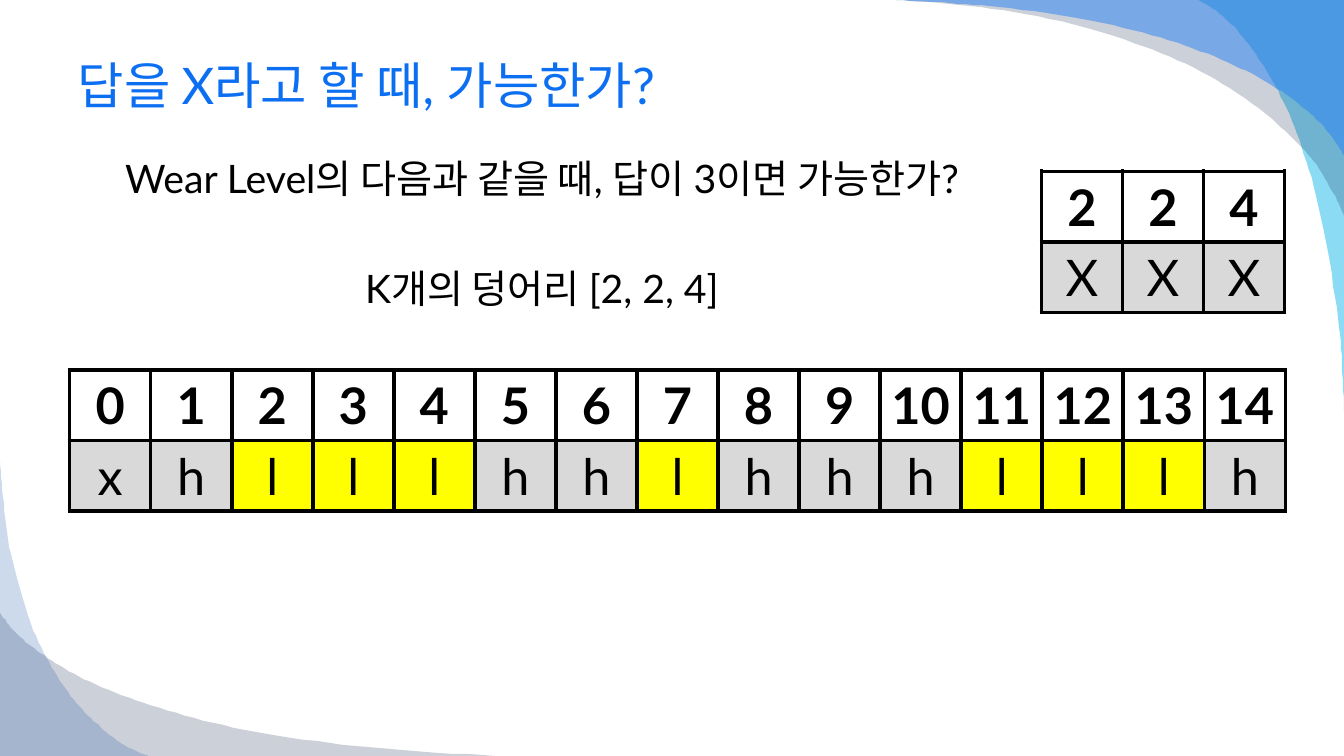
from dataclasses import dataclass
from itertools import chain

from lxml import etree
from pptx import Presentation
from pptx import util as u
from pptx.dml.color import RGBColor
from pptx.enum import text
from pptx.oxml import ns

PX = 9144  # EMU in one px: 100 px to the inch
FONT = "Lato"
BLACK, WHITE, GREY, YELLOW, BLUE = "000000", "FFFFFF", "D9D9D9", "FFFF00", "0C6FF2"
CURVE_STEPS = 6
Point = tuple[float, float]


@dataclass
class Wave:
    """A corner of the slide closed off by a smooth edge."""
    color: str
    opacity: int
    corner: Point
    edge: list[Point]


@dataclass
class Blocks:
    """Numbers above the state of each block; a low block "l" is highlighted."""
    left: int
    top: int
    width: int
    numbers: list[int]
    states: str


WAVES = [
    Wave("00B1E9", 45, (1333, 0), [
        (1189, 0), (1201, 7), (1215, 18), (1228, 31), (1243, 50), (1259, 75),
        (1276, 107), (1291, 146), (1305, 193), (1317, 249), (1327, 315),
        (1331, 360), (1333, 408)]),
    Wave("021741", 20, (1333, 0), [
        (1333, 215), (1328, 202), (1316, 180), (1303, 160), (1283, 138),
        (1258, 115), (1225, 91), (1184, 67), (1134, 46), (1075, 27),
        (1006, 12), (942, 4), (889, 0)]),
    Wave("247FF4", 49, (1333, 0), [
        (1333, 155), (1328, 146), (1314, 127), (1300, 113), (1279, 96),
        (1252, 79), (1218, 62), (1175, 45), (1124, 30), (1063, 17),
        (991, 7), (942, 3), (889, 0)]),
    Wave("021741", 20, (0, 750), [
        (0, 608), (6, 616), (16, 628), (31, 641), (51, 655), (78, 671),
        (114, 687), (158, 702), (211, 717), (276, 730), (352, 740),
        (422, 746), (500, 750)]),
    Wave("084AA1", 20, (0, 750), [
        (148, 750), (139, 747), (126, 741), (110, 730), (95, 717), (79, 701),
        (62, 679), (46, 652), (31, 620), (19, 581), (8, 535), (3, 493),
        (0, 458)]),
]
MEMORY = Blocks(69, 367, 1206, list(range(15)), "xhlllhhlhhhlllh")
CHUNKS = Blocks(1033, 170, 241, [2, 2, 4], "XXX")
ROW_HEIGHT = 70


def px(length: float) -> u.Emu:
    return u.Emu(round(length * PX))


def rgb(color: str) -> RGBColor:
    return RGBColor.from_string(color)


def smooth(knots: list[Point]) -> list[Point]:
    """Catmull-Rom curve through the knots, as closely spaced points."""
    padded = [knots[0], *knots, knots[-1]]

    def between(start: int, t: float) -> Point:
        quads = zip(*padded[start:start + 4])
        x, y = (b + t / 2 * (c - a + t * (2 * a - 5 * b + 4 * c - d
                                          + t * (3 * (b - c) + d - a)))
                for a, b, c, d in quads)
        return x, y

    segments = ([between(start, step / CURVE_STEPS) for step in range(CURVE_STEPS)]
                for start in range(len(knots) - 1))
    return [*chain.from_iterable(segments), knots[-1]]


def draw_wave(slide, wave: Wave) -> None:
    outline = slide.shapes.build_freeform(*wave.corner, scale=PX)
    outline.add_line_segments(smooth(wave.edge), close=True)
    shape = outline.convert_to_shape()
    shape.shadow.inherit = False
    shape.line.fill.background()
    shape.fill.solid()
    shape.fill.fore_color.rgb = rgb(wave.color)
    color = shape.element.spPr.find(".//" + ns.qn("a:srgbClr"))
    etree.SubElement(color, ns.qn("a:alpha"), val=str(wave.opacity * 1000))


def style(paragraph, size: int, color: str, align, bold: bool = False) -> None:
    paragraph.alignment = align
    for run in paragraph.runs:
        run.font.name, run.font.size, run.font.bold = FONT, u.Pt(size), bold
        run.font.color.rgb = rgb(color)


def add_borders(cell) -> None:
    properties = cell._tc.get_or_add_tcPr()
    for side in ("lnL", "lnR", "lnT", "lnB"):
        line = etree.SubElement(properties, ns.qn("a:" + side), w=str(u.Pt(3)))
        fill = etree.SubElement(line, ns.qn("a:solidFill"))
        etree.SubElement(fill, ns.qn("a:srgbClr"), val=BLACK)


def draw_blocks(slide, blocks: Blocks) -> None:
    rows = [[str(number) for number in blocks.numbers], list(blocks.states)]
    count = len(blocks.numbers)
    table = slide.shapes.add_table(
        len(rows), count, px(blocks.left), px(blocks.top),
        px(blocks.width), px(ROW_HEIGHT * len(rows))).table
    table.first_row = table.horz_banding = False
    for column in table.columns:
        column.width = px(blocks.width / count)
    for r, labels in enumerate(rows):
        table.rows[r].height = px(ROW_HEIGHT)
        for c, label in enumerate(labels):
            cell = table.cell(r, c)
            add_borders(cell)
            cell.fill.solid()
            cell.fill.fore_color.rgb = rgb(
                WHITE if r == 0 else YELLOW if label == "l" else GREY)
            cell.margin_left = cell.margin_right = 0
            cell.vertical_anchor = text.MSO_ANCHOR.MIDDLE
            cell.text_frame.text = label
            style(cell.text_frame.paragraphs[0], 36, BLACK,
                  text.PP_ALIGN.CENTER, bold=r == 0)


def place(placeholder, left: int, top: int, width: int, height: int,
          content: str, anchor) -> None:
    """Moves a placeholder in front of the waves and fills it."""
    placeholder.left, placeholder.top = px(left), px(top)
    placeholder.width, placeholder.height = px(width), px(height)
    placeholder.element.getparent().append(placeholder.element)
    frame = placeholder.text_frame
    frame.auto_size = text.MSO_AUTO_SIZE.NONE
    frame.vertical_anchor = anchor
    frame.text = content


def main() -> None:
    deck = Presentation()
    deck.slide_width, deck.slide_height = u.Inches(13.33), u.Inches(7.5)
    slide = deck.slides.add_slide(deck.slide_layouts[1])
    for wave in WAVES:
        draw_wave(slide, wave)

    question = slide.shapes.title
    place(question, 67, 33, 1200, 101, "답을 X라고 할 때, 가능한가?",
          text.MSO_ANCHOR.MIDDLE)
    style(question.text_frame.paragraphs[0], 36, BLUE, text.PP_ALIGN.LEFT)

    draw_blocks(slide, MEMORY)

    example = slide.placeholders[1]
    place(example, 67, 148, 941, 182,
          "Wear Level의 다음과 같을 때, 답이 3이면 가능한가?\nK개의 덩어리 [2, 2, 4]",
          text.MSO_ANCHOR.TOP)
    for paragraph in example.text_frame.paragraphs:
        style(paragraph, 28, BLACK, text.PP_ALIGN.CENTER)
        properties = paragraph._p.get_or_add_pPr()
        properties.set("marL", "0")
        properties.set("indent", "0")
        etree.SubElement(properties, ns.qn("a:buNone"))
    example.text_frame.paragraphs[1].space_before = u.Pt(45)

    draw_blocks(slide, CHUNKS)
    deck.save("out.pptx")


if __name__ == "__main__":
    main()
